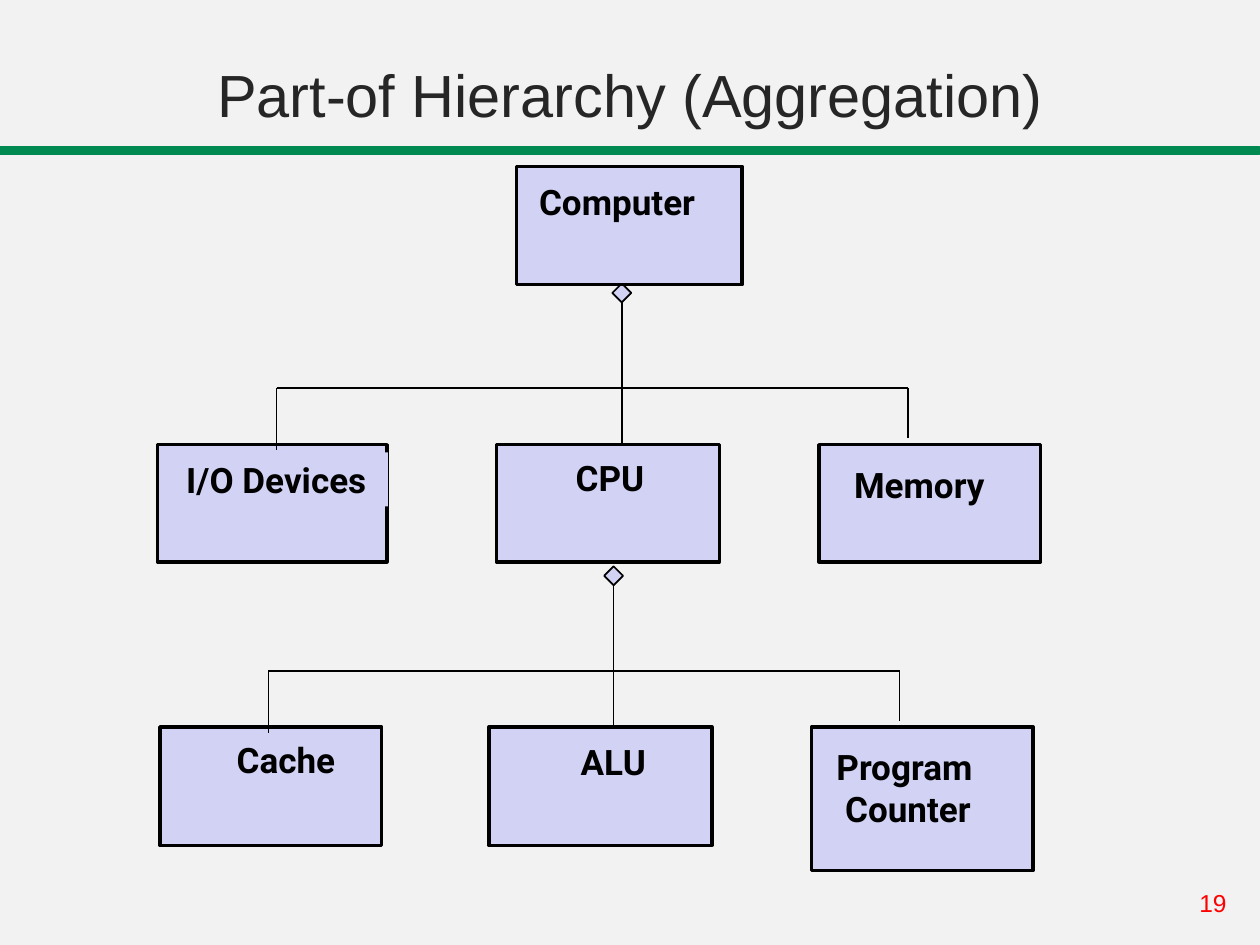
"""Build the part-of hierarchy slide."""
from dataclasses import dataclass
from typing import NamedTuple

from lxml import etree
from pptx import Presentation
from pptx.dml.color import RGBColor
from pptx.enum.shapes import MSO_CONNECTOR, MSO_SHAPE
from pptx.enum.text import MSO_ANCHOR, MSO_AUTO_SIZE, PP_ALIGN
from pptx.oxml.ns import qn
from pptx.util import Emu, Inches, Pt

RECT, GEM = MSO_SHAPE.RECTANGLE, MSO_SHAPE.DIAMOND
STRAIGHT = MSO_CONNECTOR.STRAIGHT
TOP, BASE = MSO_ANCHOR.TOP, MSO_ANCHOR.BOTTOM
LEFT, MID = PP_ALIGN.LEFT, PP_ALIGN.CENTER
FIT = MSO_AUTO_SIZE.SHAPE_TO_FIT_TEXT
COLS, ROWS = 100, 75


@dataclass(frozen=True)
class Theme:
    back: str = "F2F2F2"
    band: str = "018952"
    box: str = "D2D2F4"
    ink: str = "000000"
    head: str = "262626"
    mark: str = "FF0000"
    sans: str = "Arial"
    bold: str = "Roboto"
    title: float = 34
    label: float = 20
    page: float = 14
    thick: float = 2
    rule: float = 1.75
    thin: float = 1


class Area(NamedTuple):
    x: float
    y: float
    w: float
    h: float


class Part(NamedTuple):
    text: str
    box: Area
    label: Area


class Branch(NamedTuple):
    x: float
    y: float


ART = Theme()
ROOT = Part("Computer", Area(41, 13.2, 17.9, 9.4), Area(41.8, 13.8, 15.1, 4.3))
PARTS = [
    Part("I/O Devices", Area(12.5, 35.3, 18.2, 9.3), Area(13.8, 35.9, 17, 4.3)),
    Part("CPU", Area(39.4, 35.3, 17.7, 9.3), Area(44.7, 35.7, 7.8, 4.3)),
    Part("Memory", Area(65, 35.3, 17.6, 9.3), Area(66.8, 36.3, 12.6, 4.3)),
    Part("Cache", Area(12.7, 57.7, 17.6, 9.4), Area(17.8, 58.1, 10.3, 4.3)),
    Part("ALU", Area(38.8, 57.7, 17.7, 9.4), Area(45.1, 58.3, 7.7, 4.3)),
    Part("Program\n Counter", Area(64.4, 57.7, 17.6, 11.4), Area(65.4, 58.7, 13.4, 7.7)),
]
BRANCHES = [Branch(49.35, 22.5), Branch(48.7, 44.95)]

deck = Presentation()
deck.slide_width, deck.slide_height = Inches(10), Inches(7.5)
slide = deck.slides.add_slide(deck.slide_layouts[5])
shapes = slide.shapes


def across(cols: float) -> Emu:
    """Turn columns into a length."""
    return Emu(round(deck.slide_width * cols / COLS))


def down(rows: float) -> Emu:
    """Turn rows into a length."""
    return Emu(round(deck.slide_height * rows / ROWS))


def place(area: Area) -> tuple[Emu, Emu, Emu, Emu]:
    """Give the left, top, width and height of an area."""
    return across(area.x), down(area.y), across(area.w), down(area.h)


def tint(name: str) -> RGBColor:
    """Turn a hex name into a colour."""
    return RGBColor.from_string(name)


def block(kind, area: Area, fill: str, edge: str = "", width: float = 0):
    """Draw a filled shape, with an edge if one is named."""
    shape = shapes.add_shape(kind, *place(area))
    shape.shadow.inherit = False
    shape.fill.solid()
    shape.fill.fore_color.rgb = tint(fill)
    if edge:
        shape.line.color.rgb = tint(edge)
        shape.line.width = Pt(width)
    else:
        shape.line.fill.background()
    return shape


def write(shape, text: str, face: str, size: float, ink: str,
          bold: bool = False, align=LEFT, anchor=TOP) -> None:
    """Set and format the text of a shape."""
    frame = shape.text_frame
    frame.text = text
    frame.vertical_anchor = anchor
    for para in frame.paragraphs:
        para.alignment = align
        for run in para.runs:
            font = run.font
            font.name, font.size, font.bold = face, Pt(size), bold
            font.color.rgb = tint(ink)


def line(x: float, y: float, right: float, low: float):
    """Draw a thin straight line."""
    wire = shapes.add_connector(STRAIGHT, across(x), down(y), across(right), down(low))
    wire.line.color.rgb = tint(ART.ink)
    wire.line.width = Pt(ART.thin)
    etree.SubElement(wire._element.spPr, qn("a:effectLst"))
    return wire


def draw_part(part: Part) -> None:
    """Draw a box and its label."""
    block(RECT, part.box, ART.box, ART.ink, ART.thick)
    label = block(RECT, part.label, ART.box)
    write(label, part.text, ART.bold, ART.label, ART.ink, bold=True)
    label.text_frame.word_wrap = False
    label.text_frame.auto_size = FIT


def draw_branch(branch: Branch) -> None:
    """Draw a diamond, its trunk, and the bar with two drops."""
    x, y = branch
    gem = block(GEM, Area(x - 0.75, y, 1.5, 1.5), ART.box, ART.ink, ART.thin)
    trunk = line(x, y + 1.5, x, y + 12.8)
    trunk.begin_connect(gem, 2)
    left, right, bar = x - 27.4, x + 22.7, y + 8.3
    line(left, bar, right, bar)
    line(left, bar, left, bar + 4.9)
    line(right, bar, right, bar + 4)


def main() -> None:
    """Draw the slide and save it."""
    slide.background.fill.solid()
    slide.background.fill.fore_color.rgb = tint(ART.back)
    title = shapes.title
    title.left, title.top, title.width, title.height = place(Area(0, 0, COLS, 10.8))
    write(title, "Part-of Hierarchy (Aggregation)", ART.sans, ART.title, ART.head,
          align=MID, anchor=BASE)
    block(RECT, Area(0, 11.7, COLS, 0.5), ART.band, ART.band, ART.rule)
    for part in PARTS:
        draw_part(part)
    for branch in BRANCHES:
        draw_branch(branch)
    draw_part(ROOT)
    page = shapes.add_textbox(*place(Area(94.2, 70, 5.8, 3.4)))
    page.text_frame.word_wrap = True
    write(page, "19", ART.sans, ART.page, ART.mark)
    deck.save("out.pptx")


if __name__ == "__main__":
    main()
